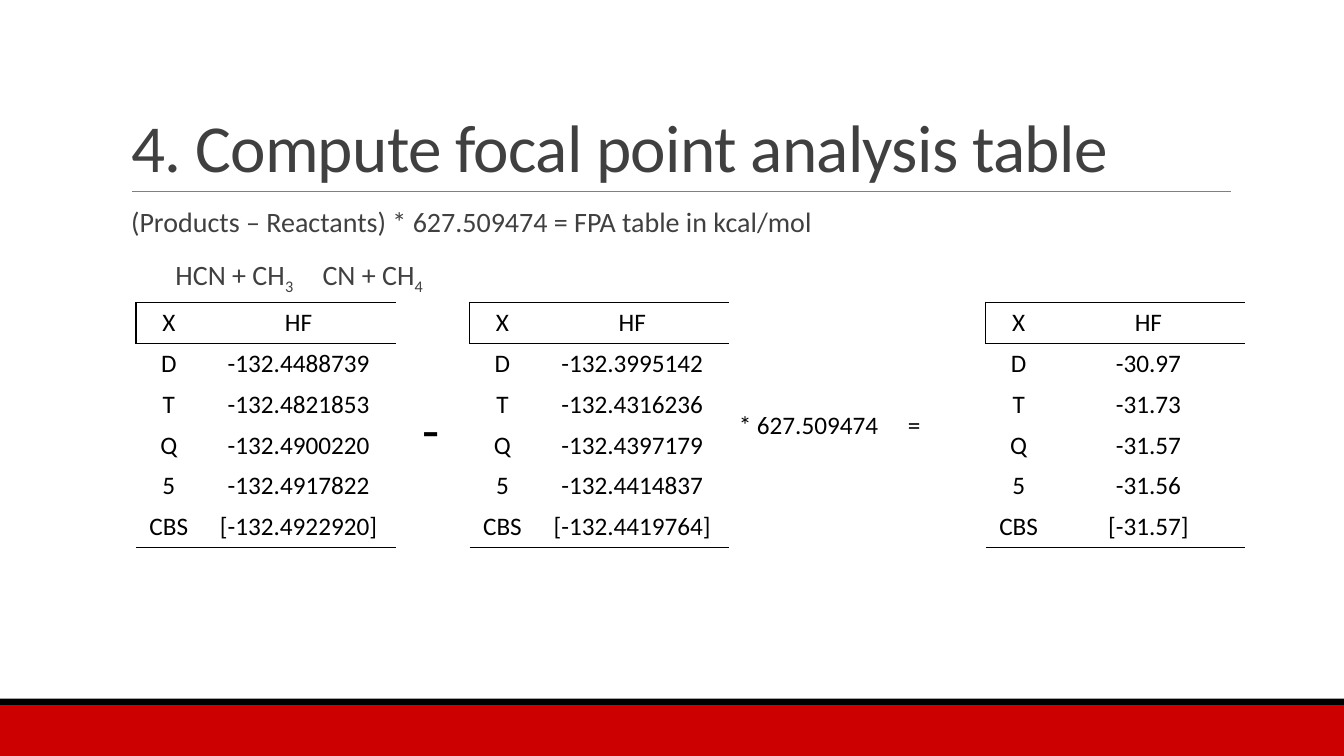
from dataclasses import dataclass

from lxml import etree
from pptx import Presentation
from pptx.dml.color import RGBColor
from pptx.enum import shapes, text
from pptx.oxml import ns
from pptx.util import Pt

FONT = "Calibri"
BLACK, GREY, RULE_GREY, RED = "000000", "404040", "808080", "CC0000"
BASIS_SETS = ("D", "T", "Q", "5", "CBS")
COLUMN_WIDTHS = (46.8, 138.6)
ROW_HEIGHT = 29.2
TABLE_TOP = 216


@dataclass
class EnergyTable:
    left: float
    energies: tuple[str, ...]


@dataclass
class Operator:
    symbol: str
    left: float
    top: float
    width: float
    height: float
    size: float = 18


@dataclass
class Band:
    top: float
    height: float
    colour: str


BANDS = (Band(504, 36, RED), Band(499, 5, BLACK))

TABLES = (
    EnergyTable(335.5, ("-132.3995142", "-132.4316236", "-132.4397179",
                        "-132.4414837", "[-132.4419764]")),
    EnergyTable(97.2, ("-132.4488739", "-132.4821853", "-132.4900220",
                       "-132.4917822", "[-132.4922920]")),
    EnergyTable(704.2, ("-30.97", "-31.73", "-31.57", "-31.56", "[-31.57]")),
)

OPERATORS = (
    Operator("-", 294.5, 278.6, 52.6, 55.4, size=40),
    Operator("=", 641.5, 288.7, 41, 28.8),
    Operator("* 627.509474", 520.6, 288.7, 121, 28.8),
)


def colour_of(hex_code: str) -> RGBColor:
    return RGBColor.from_string(hex_code)


def format_runs(paragraph, size: float, colour: str) -> None:
    for run in paragraph.runs:
        run.font.name = FONT
        run.font.size = Pt(size)
        run.font.color.rgb = colour_of(colour)


def place(shape, left: float, top: float, width: float, height: float) -> None:
    shape.left, shape.top = Pt(left), Pt(top)
    shape.width, shape.height = Pt(width), Pt(height)


def add_band(slide, band: Band) -> None:
    shape = slide.shapes.add_shape(
        shapes.MSO_SHAPE.RECTANGLE, 0, Pt(band.top), Pt(960), Pt(band.height))
    shape.shadow.inherit = False
    shape.fill.solid()
    shape.fill.fore_color.rgb = colour_of(band.colour)
    shape.line.fill.background()


def add_title_rule(slide) -> None:
    rule = slide.shapes.add_connector(
        shapes.MSO_CONNECTOR.STRAIGHT, Pt(94.3), Pt(136.8), Pt(879), Pt(136.8))
    rule.line.color.rgb = colour_of(RULE_GREY)
    rule.line.width = Pt(0.5)
    etree.SubElement(rule._element.spPr, ns.qn("a:effectLst"))


def fill_title(title) -> None:
    place(title, 86.4, 22.3, 792, 114.5)
    frame = title.text_frame
    frame.text = "4. Compute focal point analysis table"
    frame.auto_size = text.MSO_AUTO_SIZE.NONE
    frame.vertical_anchor = text.MSO_ANCHOR.BOTTOM
    paragraph = frame.paragraphs[0]
    paragraph.alignment = text.PP_ALIGN.LEFT
    paragraph.line_spacing = 0.85
    format_runs(paragraph, 48, GREY)
    paragraph.runs[0].font._element.set("spc", "-50")


def format_body_paragraph(paragraph, first_indent: float) -> None:
    """Set spacing and colours, without a bullet, indenting the first line."""
    paragraph.line_spacing = 0.9
    paragraph.space_before, paragraph.space_after = Pt(12), Pt(2)
    properties = paragraph._p.get_or_add_pPr()
    properties.set("marL", "0")
    properties.set("indent", str(Pt(first_indent)))
    etree.SubElement(properties, ns.qn("a:buNone"))
    format_runs(paragraph, 20, GREY)


def fill_body(body) -> None:
    place(body, 86.4, 145.4, 792, 316.8)
    frame = body.text_frame
    frame.auto_size = text.MSO_AUTO_SIZE.NONE
    frame.margin_left = frame.margin_right = 0
    frame.text = "(Products – Reactants) * 627.509474 = FPA table in kcal/mol"
    format_body_paragraph(frame.paragraphs[0], 7.2)

    species = frame.add_paragraph()
    for position, part in enumerate(("HCN + CH", "3", "\tCN + CH", "4")):
        run = species.add_run()
        run.text = part
        if position % 2:
            run.font._element.set("baseline", "-25000")
    format_body_paragraph(species, 38.9)
    tab_list = etree.SubElement(species._p.pPr, ns.qn("a:tabLst"))
    etree.SubElement(tab_list, ns.qn("a:tab"), pos=str(Pt(288)), algn="l")


def set_borders(cell, visible_sides: str) -> None:
    """Draw the sides named by their letters (L, R, T, B) and clear the rest."""
    properties = cell._tc.get_or_add_tcPr()
    for side in "LRTB":
        line = etree.SubElement(properties, ns.qn(f"a:ln{side}"), w=str(Pt(1)))
        if side in visible_sides:
            fill = etree.SubElement(line, ns.qn("a:solidFill"))
            etree.SubElement(fill, ns.qn("a:srgbClr"), val=BLACK)
        else:
            etree.SubElement(line, ns.qn("a:noFill"))


def add_energy_table(slide, energy_table: EnergyTable) -> None:
    rows = [("X", "HF"), *zip(BASIS_SETS, energy_table.energies)]
    row_sides = {0: "TB", 1: "T", len(rows) - 1: "B"}
    table = slide.shapes.add_table(
        len(rows), len(COLUMN_WIDTHS), Pt(energy_table.left), Pt(TABLE_TOP),
        Pt(sum(COLUMN_WIDTHS)), Pt(ROW_HEIGHT * len(rows))).table
    table.first_row = table.horz_banding = False
    for column, width in zip(table.columns, COLUMN_WIDTHS):
        column.width = Pt(width)
    for row_index, values in enumerate(rows):
        table.rows[row_index].height = Pt(ROW_HEIGHT)
        for column_index, value in enumerate(values):
            cell = table.cell(row_index, column_index)
            cell.text_frame.text = value
            paragraph = cell.text_frame.paragraphs[0]
            paragraph.alignment = text.PP_ALIGN.CENTER
            format_runs(paragraph, 18, BLACK)
            left_side = "L" if row_index == column_index == 0 else ""
            set_borders(cell, row_sides.get(row_index, "") + left_side)
            cell.fill.background()


def add_operator(slide, operator: Operator) -> None:
    box = slide.shapes.add_textbox(Pt(operator.left), Pt(operator.top),
                                   Pt(operator.width), Pt(operator.height))
    frame = box.text_frame
    frame.word_wrap = True
    frame.text = operator.symbol
    format_runs(frame.paragraphs[0], operator.size, BLACK)


def main() -> None:
    presentation = Presentation()
    presentation.slide_width, presentation.slide_height = Pt(960), Pt(540)
    slide = presentation.slides.add_slide(presentation.slide_layouts[1])
    for band in BANDS:
        add_band(slide, band)
    add_title_rule(slide)
    fill_title(slide.shapes.title)
    fill_body(slide.placeholders[1])
    for energy_table in TABLES:
        add_energy_table(slide, energy_table)
    for operator in OPERATORS:
        add_operator(slide, operator)
    presentation.save("out.pptx")


if __name__ == "__main__":
    main()
